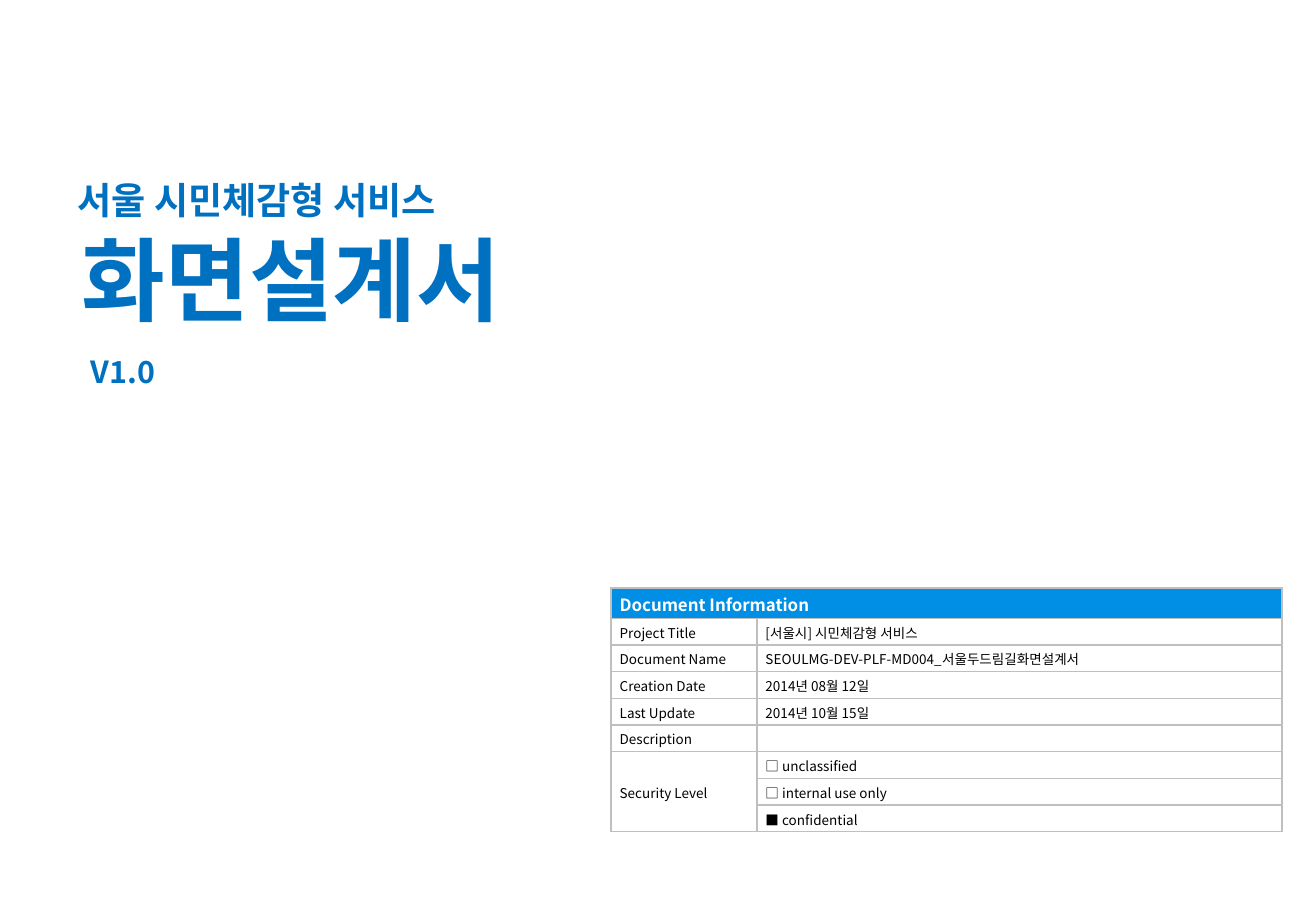
from pptx import Presentation
from pptx.dml.color import RGBColor
from pptx.enum.text import MSO_ANCHOR as Anchor, MSO_AUTO_SIZE as AutoSize, PP_ALIGN as Align
from pptx.oxml import parse_xml
from pptx.oxml.ns import nsdecls
from pptx.util import Pt

# Content
SERVICE = "서울 시민체감형 서비스"
DOCUMENT = "화면설계서"
VERSION = "V1.0"
TABLE_TITLE = "Document Information"
ROWS = [
    ("Project Title", "[서울시] 시민체감형 서비스"),
    ("Document Name", "SEOULMG-DEV-PLF-MD004_서울두드림길화면설계서"),
    ("Creation Date", "2014년 08월 12일"),
    ("Last Update", "2014년 10월 15일"),
    ("Description", ""),
    ("Security Level", "□ unclassified"),
    ("", "□ internal use only"),
    ("", "■ confidential"),
]
SECURITY_ROW = 6

# Look
FONT = "Noto Sans CJK KR"
BLUE = RGBColor(0x00, 0x70, 0xC0)
HEADER_BLUE = RGBColor(0x01, 0x8E, 0xE5)
WHITE = RGBColor(0xFF, 0xFF, 0xFF)
BLACK = RGBColor(0x00, 0x00, 0x00)
BORDER_GREY = RGBColor(0xBF, 0xBF, 0xBF)

# Layout: 100 px to the inch
PX = 9144
PAGE_SIZE = (1083, 750)
SERVICE_BOX = (54, 141, 400, 54)
DOCUMENT_BOX = (57, 179, 420, 119)
VERSION_BOX = (65, 286, 100, 46)
TABLE_LEFT, TABLE_TOP = 503, 484
COLUMN_WIDTHS = (120, 432)
HEADER_HEIGHT, ROW_HEIGHT = 25, 22


def write(frame, text, size, color, bold):
    para = frame.paragraphs[0]
    para.text = text
    para.alignment = Align.LEFT
    para.space_before = Pt(0)
    font = para.font
    font.name, font.size, font.bold = FONT, Pt(size), bold
    font.color.rgb = color
    # East Asian typeface for the Korean text
    latin = font._element.find("{*}latin")
    latin.addnext(parse_xml(f'<a:ea {nsdecls("a")} typeface="{FONT}"/>'))
    if not text:
        para._p.append(parse_xml(f'<a:endParaRPr {nsdecls("a")} sz="{size * 100}"/>'))


def write_heading(box, bounds, text, size):
    box.left, box.top, box.width, box.height = [value * PX for value in bounds]
    frame = box.text_frame
    frame.word_wrap = True
    frame.auto_size = AutoSize.NONE
    frame.vertical_anchor = Anchor.TOP
    write(frame, text, size, BLUE, True)


def style_cell(cell, text, size, color, fill, bold=False):
    cell.margin_left = cell.margin_right = 7 * PX
    cell.margin_top, cell.margin_bottom = 3 * PX, 2 * PX
    cell.vertical_anchor = Anchor.MIDDLE
    write(cell.text_frame, text, size, color, bold)
    cell.fill.solid()
    cell.fill.fore_color.rgb = fill
    properties = cell._tc.get_or_add_tcPr()
    for position, side in enumerate(("lnL", "lnR", "lnT", "lnB")):
        properties.insert(position, parse_xml(
            f'<a:{side} {nsdecls("a")} w="{Pt(1)}"><a:solidFill>'
            f'<a:srgbClr val="{BORDER_GREY}"/></a:solidFill></a:{side}>'))


deck = Presentation()
deck.slide_width, deck.slide_height = [value * PX for value in PAGE_SIZE]
page = deck.slides.add_slide(deck.slide_layouts[0])

# Headings
write_heading(page.placeholders[1], SERVICE_BOX, SERVICE, 22)
write_heading(page.shapes.title, DOCUMENT_BOX, DOCUMENT, 54)
version_box = page.shapes.add_textbox(0, 0, 0, 0)
write_heading(version_box, VERSION_BOX, VERSION, 18)

# Document information table
table_height = HEADER_HEIGHT + ROW_HEIGHT * len(ROWS)
table = page.shapes.add_table(
    len(ROWS) + 1, len(COLUMN_WIDTHS), TABLE_LEFT * PX, TABLE_TOP * PX,
    sum(COLUMN_WIDTHS) * PX, table_height * PX).table
table.first_row = table.horz_banding = False
for column, width in zip(table.columns, COLUMN_WIDTHS):
    column.width = width * PX
for index, row in enumerate(table.rows):
    row.height = (ROW_HEIGHT if index else HEADER_HEIGHT) * PX

for column, text in enumerate((TABLE_TITLE, "")):
    style_cell(table.cell(0, column), text, 10, WHITE, HEADER_BLUE, True)
for index, texts in enumerate(ROWS, start=1):
    for column, text in enumerate(texts):
        style_cell(table.cell(index, column), text, 8, BLACK, WHITE)

table.cell(0, 0).merge(table.cell(0, 1))
table.cell(SECURITY_ROW, 0).merge(table.cell(len(ROWS), 0))

deck.save("out.pptx")
